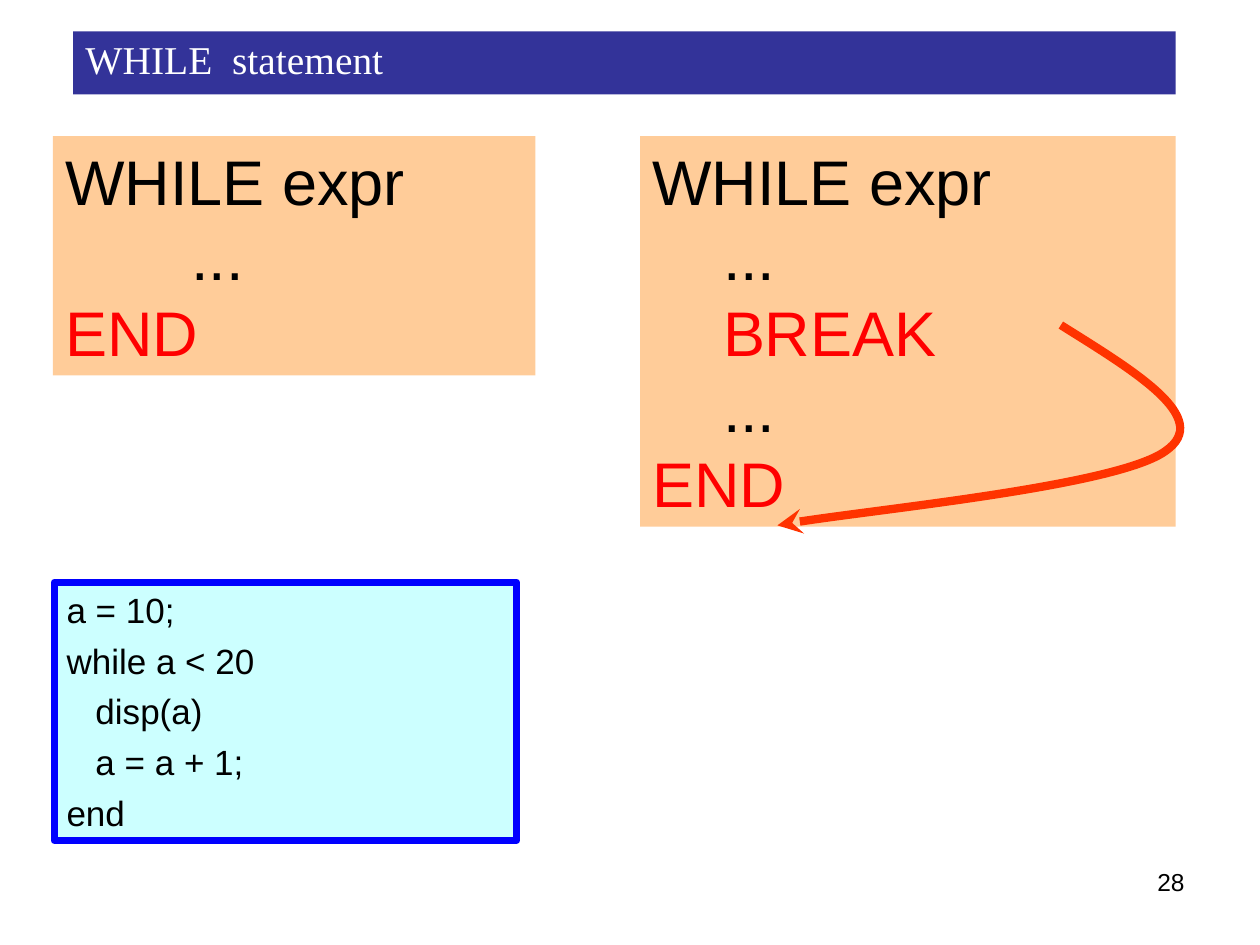
"""Builds a slide that explains the WHILE statement with two patterns and an example."""
from lxml import etree
from pptx import Presentation
from pptx import util as u
from pptx.dml.color import RGBColor
from pptx.enum import shapes, text
from pptx.oxml.ns import qn

COLORS = {
    "black": "000000",
    "white": "FFFFFF",
    "red": "FF0000",
    "title_bar": "333399",
    "pattern": "FFCC99",
    "example": "CCFFFF",
    "border": "0000FF",
    "arrow": "FF3300",
}


def rgb(name):
    """Return the named colour."""
    return RGBColor.from_string(COLORS[name])


def write_line(para, words, size=36, font="Arial", color="black", indent=0,
               before=0, spacing=None, align=text.PP_ALIGN.LEFT):
    """Write one paragraph with its format."""
    para.alignment = align
    para.space_before = u.Pt(before)
    if spacing:
        para.line_spacing = spacing
    if indent:
        properties = para._p.get_or_add_pPr()
        properties.set("marL", str(u.Inches(indent)))
        properties.set("indent", "0")
    span = para.add_run()
    span.text = words
    span.font.size = u.Pt(size)
    span.font.name = font
    span.font.color.rgb = rgb(color)


def fill_frame(frame, lines, anchor=text.MSO_ANCHOR.TOP, **shared):
    """Write lines, each a pair of words and format, into a text frame."""
    frame.word_wrap = True
    frame.vertical_anchor = anchor
    for index, (words, own) in enumerate(lines):
        para = frame.add_paragraph() if index else frame.paragraphs[0]
        write_line(para, words, **{**shared, **own})


def add_panel(page, place, fill, lines, border=None, **shared):
    """Add a filled rectangle that holds lines of text."""
    box = page.shapes.add_shape(
        shapes.MSO_SHAPE.RECTANGLE, *map(u.Inches, place))
    box.shadow.inherit = False
    box.fill.solid()
    box.fill.fore_color.rgb = rgb(fill)
    if border:
        box.line.color.rgb = rgb(border)
        box.line.width = u.Pt(4)
    else:
        box.line.fill.background()
    fill_frame(box.text_frame, lines, **shared)


def add_curved_arrow(page, points, color, width):
    """Add an open Bezier curve from a start and triples of curve points."""
    start, *rest = [tuple(map(u.Inches, point)) for point in points]
    builder = page.shapes.build_freeform(*start)
    builder.add_line_segments(rest, close=False)
    curve = builder.convert_to_shape()
    curve.shadow.inherit = False
    curve.fill.background()
    curve.line.color.rgb = rgb(color)
    curve.line.width = u.Pt(width)

    segments = list(curve.element.iter(qn("a:lnTo")))
    outline = segments[0].getparent()
    for index in range(0, len(segments), 3):
        bend = etree.SubElement(outline, qn("a:cubicBezTo"))
        for segment in segments[index:index + 3]:
            bend.append(segment[0])
            outline.remove(segment)
    etree.SubElement(curve.line._get_or_add_ln(), qn("a:tailEnd"), type="stealth")


def add_page_number(page, number):
    """Add the page number at the lower right."""
    box = page.shapes.add_textbox(*map(u.Inches, (7.17, 6.83, 2.33, 0.52)))
    fill_frame(box.text_frame, [(number, {})], size=14,
               align=text.PP_ALIGN.RIGHT)


def main():
    """Build the slide and save it."""
    deck = Presentation()
    deck.slide_width, deck.slide_height = u.Inches(10), u.Inches(7.5)
    page = deck.slides.add_slide(deck.slide_layouts[6])

    add_page_number(page, "28")
    add_panel(page, (0.58, 0.25, 8.75, 0.5), "title_bar",
              [("WHILE  statement", {})], anchor=text.MSO_ANCHOR.MIDDLE,
              size=22.5, font="Times New Roman", color="white", spacing=0.8)

    opening, closing = ("WHILE expr", {}), ("END", {"color": "red"})
    add_panel(page, (0.42, 1.08, 3.83, 1.9), "pattern",
              [opening, ("...", {"indent": 1}), closing])

    inner = {"indent": 0.23}
    add_panel(page, (0.43, 4.62, 3.67, 2.05), "example",
              [("a = 10;", {}), ("while a < 20", {}), ("disp(a)", inner),
               ("a = a + 1;", inner), ("end", {})],
              border="border", size=20, before=5)

    body = {"indent": 0.56}
    add_panel(page, (5.08, 1.08, 4.25, 3.1), "pattern",
              [opening, ("...", body), ("BREAK", {**body, "color": "red"}),
               ("...", body), closing])

    add_curved_arrow(page, [(8.42, 2.58), (9.01, 2.95), (9.63, 3.32),
                            (9.25, 3.58), (8.88, 3.85), (6.68, 4.07),
                            (6.17, 4.17)], "arrow", 4.75)
    deck.save("out.pptx")


if __name__ == "__main__":
    main()
